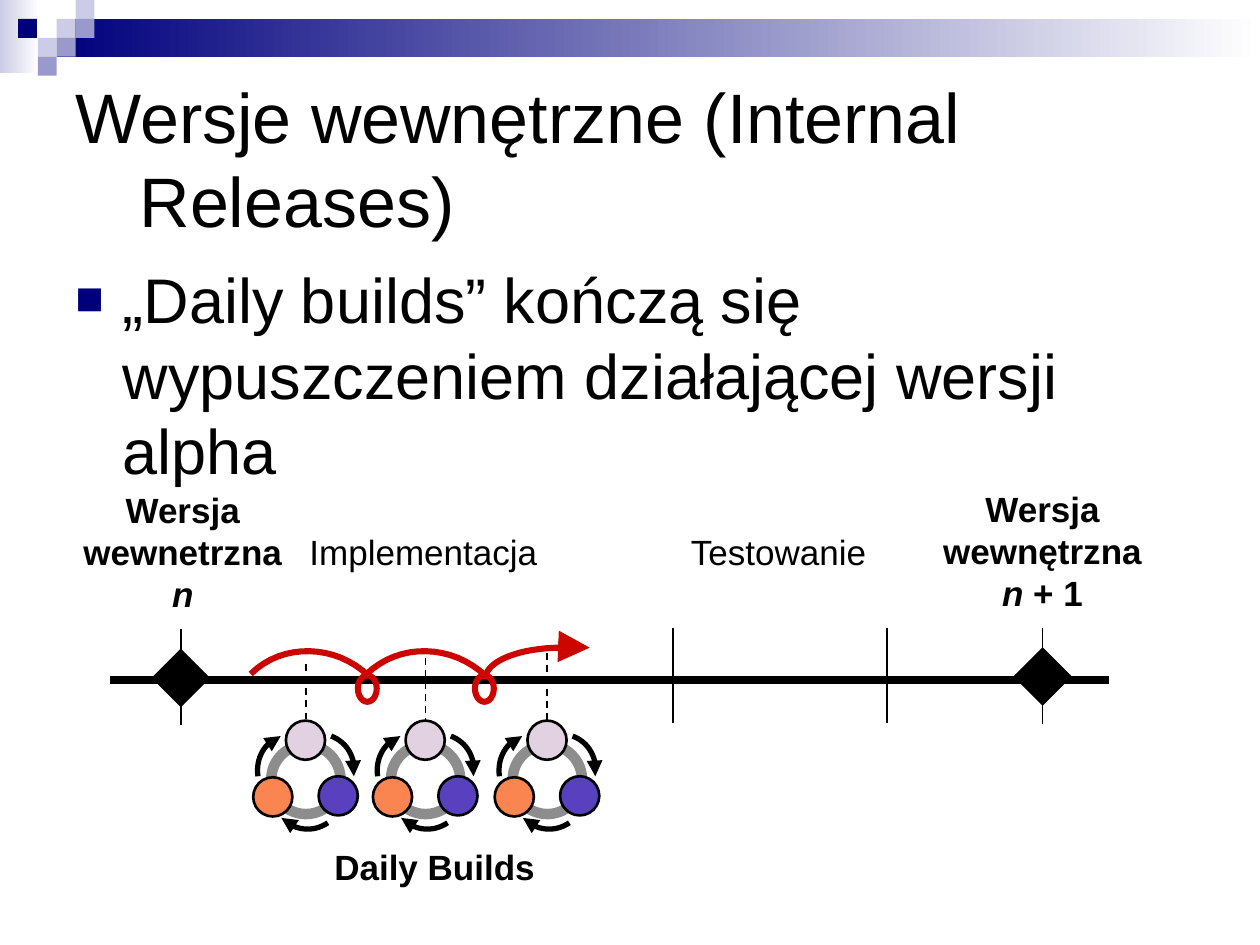
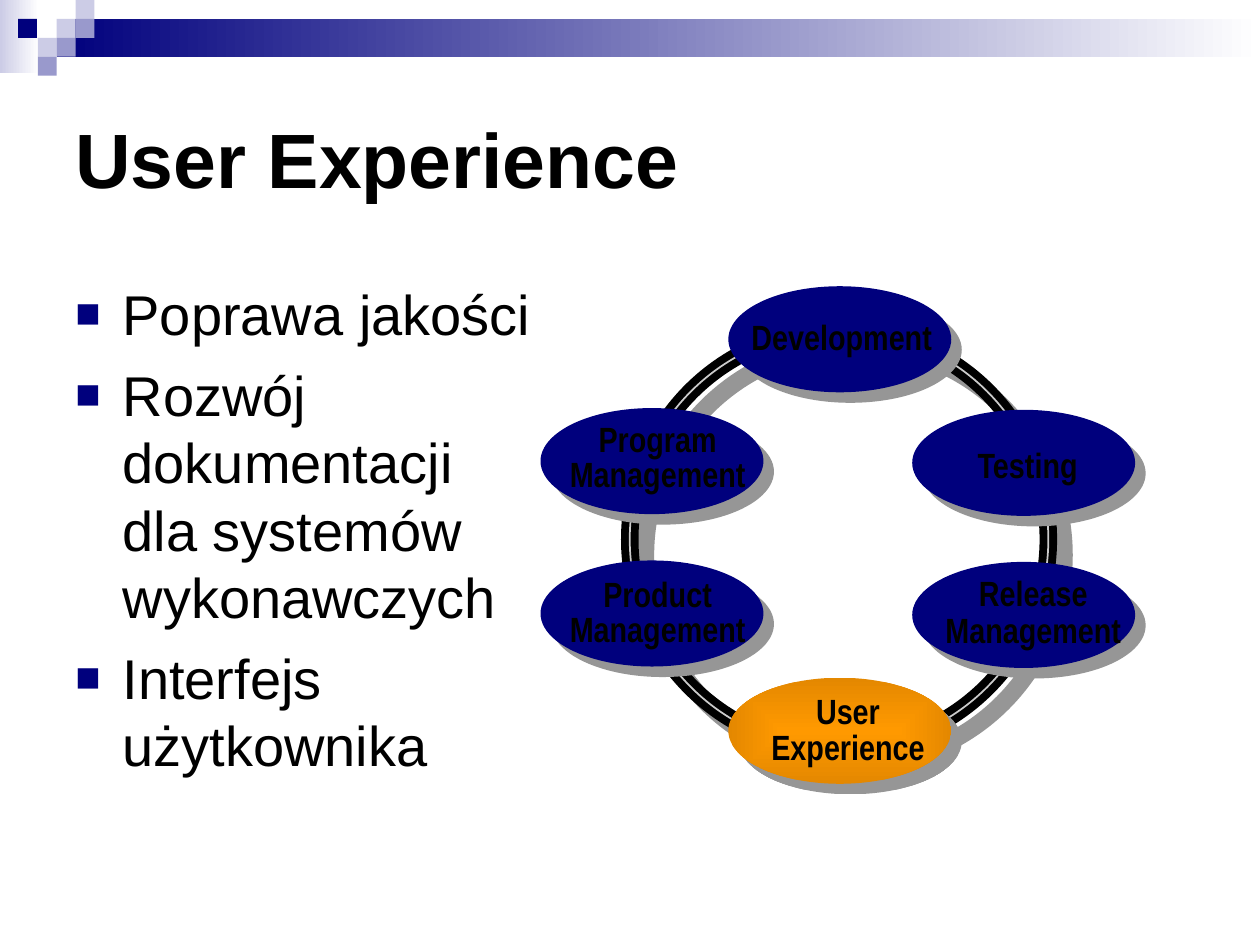
"""Build two slides: internal releases on a timeline, and the User Experience role ring."""
from lxml import etree
from pptx import Presentation
from pptx.dml.color import RGBColor
from pptx.enum.dml import MSO_LINE
from pptx.enum.shapes import MSO_CONNECTOR, MSO_SHAPE
from pptx.enum.text import MSO_ANCHOR, PP_ALIGN
from pptx.oxml.ns import qn
from pptx.util import Pt

RECTANGLE, OVAL = MSO_SHAPE.RECTANGLE, MSO_SHAPE.OVAL
STRAIGHT, DASH = MSO_CONNECTOR.STRAIGHT, MSO_LINE.DASH
TOP, MIDDLE = MSO_ANCHOR.TOP, MSO_ANCHOR.MIDDLE
CENTER = PP_ALIGN.CENTER

BLACK, WHITE, NAVY = "000000", "FFFFFF", "00007D"
LILAC, VIOLET, RED, GREY = "CCCCE6", "9999CC", "CC0500", "8D8D8D"
ORANGE, DARK_ORANGE, SHADOW, SILVER = "FF9900", "E48800", "969696", "CBCBCB"

BAND_GRADIENTS = [((0, 0, 22.3, 41.8), LILAC), ((32.4, 10.8, 687.6, 21.6), NAVY)]
SQUARE_SIZE = 10.8
SQUARES = [(32.4, 10.8, LILAC), (43.2, 0, LILAC), (43.2, 10.8, VIOLET), (21.6, 21.6, LILAC),
           (10.3, 10.8, NAVY), (32.4, 21.6, VIOLET), (21.6, 32.4, VIOLET)]
TITLE_BOX = (36, 36, 648, 108)

RELEASES_TITLE = "Wersje wewnętrzne (Internal Releases)"
RELEASES_BULLETS = ["„Daily builds” kończą się wypuszczeniem działającej wersji alpha"]
TIMELINE = (62.6, 388.8, 633.6, 388.8)
MILESTONES = [
    (103.3, 387.4, (40.3, 275.8, 128.2, 79.2),
     [[("Wersja\nwewnetrzna", {})], [("n", {"italic": True})]]),
    (595.8, 386.6, (531.6, 275, 128.2, 79.2),
     [[("Wersja\nwewnętrzna", {})], [("n ", {"italic": True}), ("+ 1", {})]]),
]
DIAMOND_SIZE = 23
PHASE_TICKS = [384.5, 506.9]
PHASES = [("Testowanie", (386.6, 299.5, 116.6, 31.7), False),
          ("Implementacja", (169.6, 299.5, 144.7, 31.7), False),
          ("Daily Builds", (154.8, 479.5, 187.2, 31.7), True)]
BUILDS = [(174.8, 379.4, 421.2), (243.2, 375.8, 417.6), (312.8, 373, 418.3)]
BUILD_CENTER_Y, BUILD_RADIUS, BALL_RADIUS = 445.4, 19.8, 11.2
BALLS = [(18.5, 9.4, "5840BE"), (-0.2, -22.4, "E1D1E1"), (-18.9, 10, "FB8550")]
BUILD_ARROWS = [
    [(14.4, -24.8), (23.8, -21.2), (28.8, -12), (27.4, -1.8)],
    [(-27.4, -1.8), (-28.8, -12), (-23.8, -21.2), (-14.4, -24.8)],
    [(12.6, 24.8), (4, 30.6), (-6.8, 29.2), (-14, 22)],
]
SPIRAL = [
    [(143.3, 385.2), (161.3, 367.2), (192.2, 367.9), (211, 386.6)],
    [(209.5, 385.2), (228.2, 367.2), (258.5, 367.9), (277.9, 386.6)],
    [(277.2, 388.1), (277.2, 378), (296.6, 370.1), (321.1, 370.1)],
]
LOOPS = [204.5, 271.4]
LOOP_TOP, LOOP_SIZE = 385.9, (10.8, 15.1)
SPIRAL_END = (319, 369.4, 337, 370.1)

ROLES_TITLE = "User Experience"
ROLES_BULLETS = ["Poprawa jakości", "Rozwój\ndokumentacji\ndla systemów\nwykonawczych",
                 "Interfejs\nużytkownika"]
RING_CENTER, RING_SIZE = (479.5, 308.2), 239.2
ROLE_SIZE, LABEL_SIZE = (127.4, 60.6), (140, 48)
ROLES = [
    ("Development", (479.9, 193.9), (481, 193.7), 0.9),
    ("Testing", (585, 264.5), (587.2, 267.1), 0.9),
    ("Release\nManagement", (585, 351.4), (590.4, 350.6), 0.9),
    ("User\nExperience", (479.9, 417.6), (484.6, 418), 0.85),
    ("Product\nManagement", (372.6, 350.6), (375.8, 351), 0.85),
    ("Program\nManagement", (372.6, 263.5), (375.8, 262.4), 0.85),
]


def color(value):
    return RGBColor.from_string(value)


def centered(center, size):
    return (center[0] - size[0] / 2, center[1] - size[1] / 2, *size)


def apply(target, values):
    for name, value in values.items():
        setattr(target, name, value)


def style_line(line, line_color, width):
    line.color.rgb = color(line_color)
    line.width = Pt(width)


def add_arrowhead(line_shape):
    line_properties = line_shape._element.spPr.find(qn("a:ln"))
    etree.SubElement(line_properties, qn("a:tailEnd"), type="triangle")


def add_shadow(shape, distance):
    effects = shape._element.spPr.find(qn("a:effectLst"))
    outer = etree.SubElement(effects, qn("a:outerShdw"), blurRad="0", dist=str(Pt(distance)),
                             dir="2700000", algn="ctr", rotWithShape="0")
    etree.SubElement(outer, qn("a:srgbClr"), val=SHADOW)


def set_gradient(shape, first, last):
    shape.fill.gradient()
    shape.fill.gradient_angle = 0
    for stop, value in zip(shape.fill.gradient_stops, (first, last)):
        stop.color.rgb = color(value)


def set_center_gradient(shape, inner, outer):
    set_gradient(shape, inner, outer)
    gradient = shape._element.spPr.find(qn("a:gradFill"))
    gradient.remove(gradient.find(qn("a:lin")))
    radial = etree.SubElement(gradient, qn("a:path"), path="rect")
    etree.SubElement(radial, qn("a:fillToRect"), l="50000", t="50000", r="50000", b="50000")


def add_shape(slide, kind, box, fill=None, line=None):
    shape = slide.shapes.add_shape(kind, *map(Pt, box))
    shape.shadow.inherit = False
    if fill:
        shape.fill.solid()
        shape.fill.fore_color.rgb = color(fill)
    else:
        shape.fill.background()
    if line:
        style_line(shape.line, *line)
    else:
        shape.line.fill.background()
    return shape


def add_line(slide, ends, width, line_color=BLACK, dash=None):
    connector = slide.shapes.add_connector(STRAIGHT, *map(Pt, ends))
    style_line(connector.line, line_color, width)
    if dash:
        connector.line.dash_style = dash
    etree.SubElement(connector._element.spPr, qn("a:effectLst"))
    return connector


def add_curve(slide, controls, line_color, width, steps=16):
    points = []
    for step in range(steps + 1):
        t = step / steps
        weights = ((1 - t) ** 3, 3 * t * (1 - t) ** 2, 3 * t * t * (1 - t), t ** 3)
        points.append(tuple(Pt(sum(w * p[axis] for w, p in zip(weights, controls)))
                            for axis in (0, 1)))
    builder = slide.shapes.build_freeform(*points[0])
    builder.add_line_segments(points[1:], close=False)
    curve = builder.convert_to_shape()
    curve.shadow.inherit = False
    curve.fill.background()
    style_line(curve.line, line_color, width)
    return curve


def set_indent(paragraph, indent):
    properties = paragraph._p.get_or_add_pPr()
    properties.set("marL", str(Pt(indent)))
    properties.set("indent", str(-Pt(indent)))
    return properties


def add_bullet(paragraph):
    properties = set_indent(paragraph, 27)
    bullet_color = etree.SubElement(properties, qn("a:buClr"))
    etree.SubElement(bullet_color, qn("a:srgbClr"), val=NAVY)
    etree.SubElement(properties, qn("a:buSzPct"), val="75000")
    etree.SubElement(properties, qn("a:buFont"), typeface="Arial")
    etree.SubElement(properties, qn("a:buChar"), char="■")


def add_text(slide, box, paragraphs, font, layout=None, anchor=TOP, wrap=True, bullets=False):
    frame = slide.shapes.add_textbox(*map(Pt, box)).text_frame
    apply(frame, {"word_wrap": wrap, "vertical_anchor": anchor})
    for index, runs in enumerate(paragraphs):
        paragraph = frame.add_paragraph() if index else frame.paragraphs[0]
        if bullets:
            add_bullet(paragraph)
        apply(paragraph, layout or {})
        if not index:
            paragraph.space_before = Pt(0)
        for text, changes in runs:
            for number, part in enumerate(text.split("\n")):
                if number:
                    paragraph.add_line_break()
                run = paragraph.add_run()
                run.text = part
                apply(run.font, {"name": "Arial", **font, **changes})
                run.font.color.rgb = color(BLACK)
    return frame


def add_slide(presentation, title, title_font, bullets, bullet_top, bullet_size, gap):
    slide = presentation.slides.add_slide(presentation.slide_layouts[6])
    for box, start in BAND_GRADIENTS:
        set_gradient(add_shape(slide, RECTANGLE, box), start, WHITE)
    for left, top, fill in SQUARES:
        add_shape(slide, RECTANGLE, (left, top, SQUARE_SIZE, SQUARE_SIZE), fill)
    title_frame = add_text(slide, TITLE_BOX, [[(title, {})]], title_font, anchor=MIDDLE)
    add_text(slide, (36, bullet_top, 648, 306), [[(text, {})] for text in bullets],
             {"size": Pt(bullet_size)}, {"space_before": Pt(gap)}, bullets=True)
    return slide, title_frame


def add_build(slide, center_x, dash_top, dash_bottom):
    add_line(slide, (center_x, dash_top, center_x, dash_bottom), 1, dash=DASH)
    center = (center_x, BUILD_CENTER_Y)
    add_shape(slide, OVAL, centered(center, (2 * BUILD_RADIUS,) * 2), line=(GREY, 6))
    for x, y, fill in BALLS:
        ball_center = (center_x + x, BUILD_CENTER_Y + y)
        add_shape(slide, OVAL, centered(ball_center, (2 * BALL_RADIUS,) * 2), fill, (BLACK, 1.5))
    for controls in BUILD_ARROWS:
        moved = [(center_x + x, BUILD_CENTER_Y + y) for x, y in controls]
        add_arrowhead(add_curve(slide, moved, BLACK, 3))


def build_releases(presentation):
    slide, title_frame = add_slide(presentation, RELEASES_TITLE, {"size": Pt(40)},
                                   RELEASES_BULLETS, 145.4, 36, 9)
    set_indent(title_frame.paragraphs[0], 36.7)
    add_line(slide, TIMELINE, 4.5)
    label = {"size": Pt(20)}
    for x, y, box, paragraphs in MILESTONES:
        add_line(slide, (x, y - 28, x, y + 27), 1)
        diamond = add_shape(slide, RECTANGLE, centered((x, y), (DIAMOND_SIZE,) * 2),
                            BLACK, (BLACK, 0.75))
        diamond.rotation = 45
        add_text(slide, box, paragraphs, {**label, "bold": True}, {"alignment": CENTER},
                 wrap=False)
    for x in PHASE_TICKS:
        add_line(slide, (x, 358.6, x, 413.3), 1)
    for text, box, bold in PHASES:
        add_text(slide, box, [[(text, {})]], {**label, "bold": bold}, {"alignment": CENTER},
                 wrap=False)
    for build in BUILDS:
        add_build(slide, *build)
    add_arrowhead(add_line(slide, SPIRAL_END, 6, RED))
    for controls in SPIRAL:
        add_curve(slide, controls, RED, 3.5)
    for left in LOOPS:
        add_shape(slide, OVAL, (left, LOOP_TOP, *LOOP_SIZE), line=(RED, 3.5))


def build_roles(presentation):
    slide, _ = add_slide(presentation, ROLES_TITLE, {"size": Pt(44), "bold": True},
                         ROLES_BULLETS, 156.2, 32, 8)
    ring_box = centered(RING_CENTER, (RING_SIZE, RING_SIZE))
    add_shadow(add_shape(slide, OVAL, ring_box, line=(BLACK, 10)), 12.7)
    add_shape(slide, OVAL, ring_box, line=(SILVER, 1))
    for name, center, label_center, spacing in ROLES:
        role = add_shape(slide, OVAL, centered(center, ROLE_SIZE), NAVY)
        if name.replace("\n", " ") == ROLES_TITLE:
            set_center_gradient(role, ORANGE, DARK_ORANGE)
        add_shadow(role, 8.5)
        add_text(slide, centered(label_center, LABEL_SIZE), [[(name, {})]],
                 {"name": "Arial Narrow", "size": Pt(20), "bold": True},
                 {"alignment": CENTER, "line_spacing": spacing}, MIDDLE, wrap=False)


def main():
    presentation = Presentation()
    apply(presentation, {"slide_width": Pt(720), "slide_height": Pt(540)})
    build_releases(presentation)
    build_roles(presentation)
    presentation.save("out.pptx")


if __name__ == "__main__":
    main()
